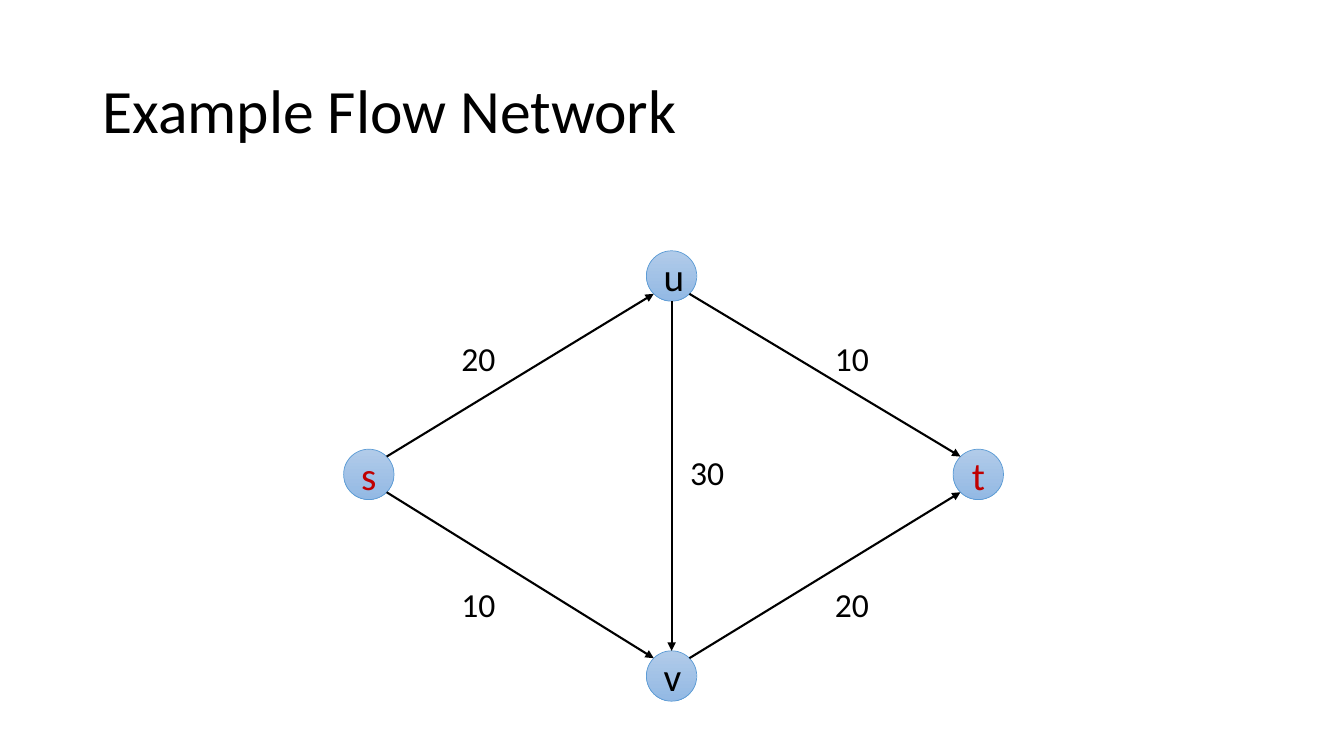
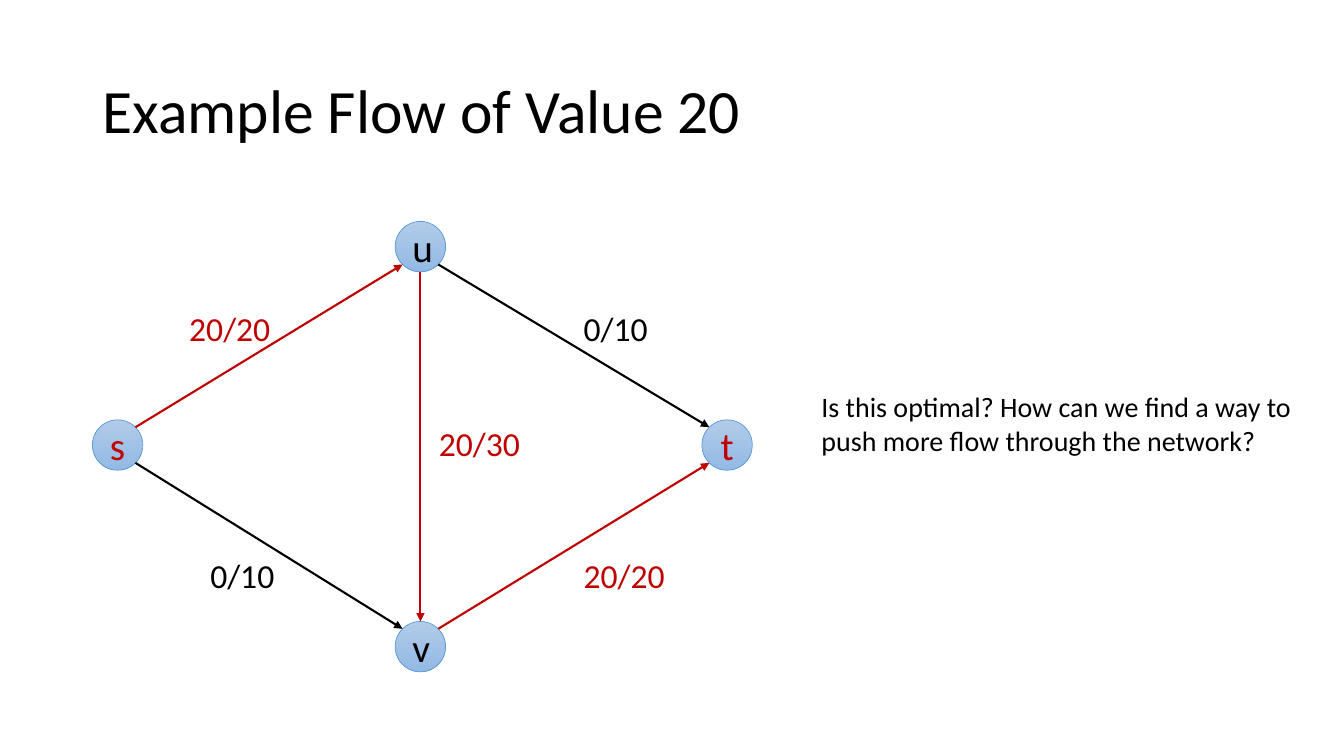
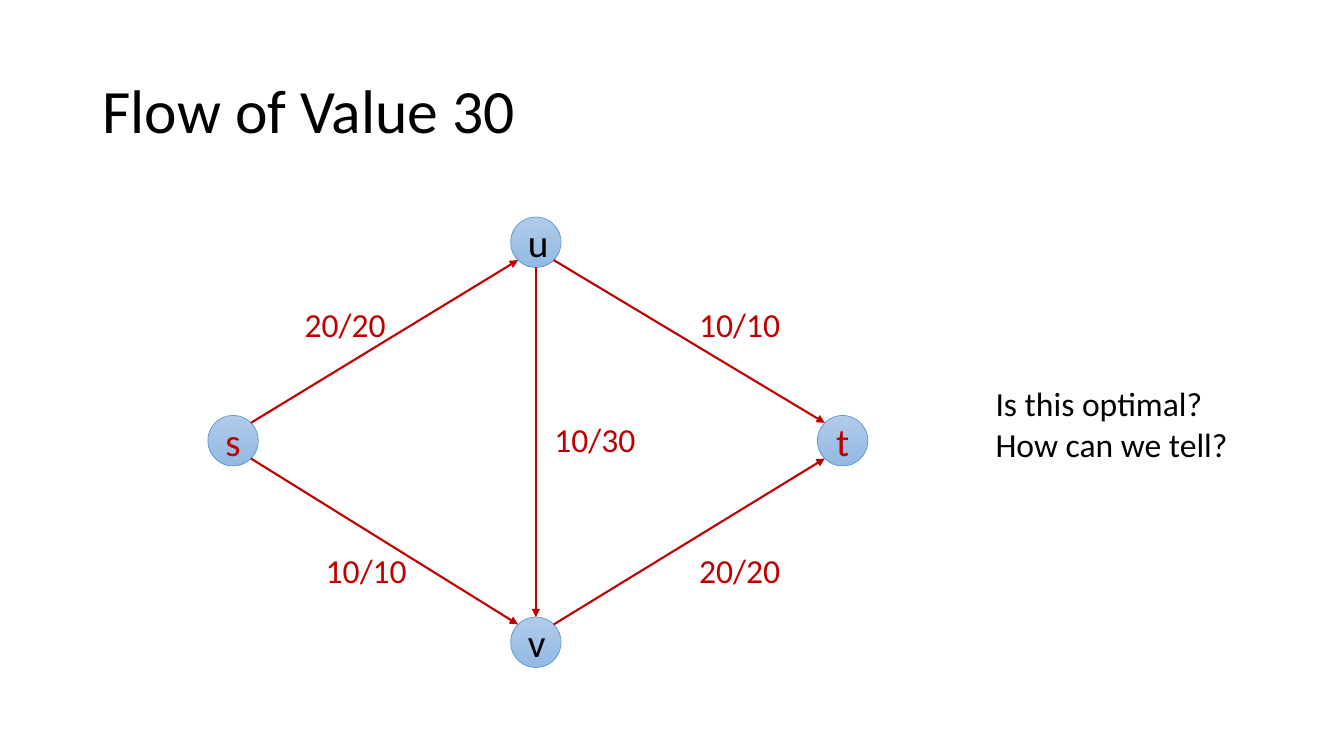
from math import hypot

from lxml import etree
from pptx import Presentation
from pptx.dml.color import RGBColor
from pptx.enum.shapes import MSO_CONNECTOR, MSO_SHAPE
from pptx.enum.text import MSO_ANCHOR, MSO_AUTO_SIZE, PP_ALIGN
from pptx.oxml.ns import qn
from pptx.util import Cm, Pt

STRAIGHT = MSO_CONNECTOR.STRAIGHT
CIRCLE = MSO_SHAPE.FLOWCHART_CONNECTOR
MIDDLE = MSO_ANCHOR.MIDDLE
NO_FIT = MSO_AUTO_SIZE.NONE
GROW = MSO_AUTO_SIZE.SHAPE_TO_FIT_TEXT
LEFT, CENTER = PP_ALIGN.LEFT, PP_ALIGN.CENTER

BLACK = RGBColor(0x00, 0x00, 0x00)
RED = RGBColor(0xC0, 0x00, 0x00)
NODE_TOP = RGBColor(0xB1, 0xCB, 0xE9)
NODE_BOTTOM = RGBColor(0x93, 0xB9, 0xE4)
NODE_LINE = RGBColor(0x5B, 0x9B, 0xD5)

FONT = "Calibri"
TITLE_ONLY = 5
NODE_SIZE = 1.27
NODES = {"t": (15.36, 5.0), "s": (0, 5.0), "v": (7.63, 10.08), "u": (7.63, 0)}
LABELS = {
    "uv": (8.48, 4.95),
    "su": (2.72, 2.06),
    "vt": (12.13, 8.27),
    "sv": (2.72, 8.27),
    "ut": (12.13, 2.06),
}


def sign(number):
    """Return -1, 0 or 1 for the sign of a number."""
    return (number > 0) - (number < 0)


class FlowDeck:
    """Holds the shared style and the slide being drawn."""

    def __init__(self):
        self.deck = Presentation()
        self.deck.slide_width = Cm(33.87)
        self.deck.slide_height = Cm(19.05)
        self.page = None

    def style(self, para, size, color, align=LEFT):
        para.alignment = align
        para.font.name = FONT
        para.font.size = Pt(size)
        para.font.color.rgb = color

    def add_page(self, title):
        self.page = self.deck.slides.add_slide(self.deck.slide_layouts[TITLE_ONLY])
        box = self.page.shapes.title
        box.left, box.top, box.width, box.height = Cm(2.33), Cm(1.01), Cm(29.21), Cm(3.68)
        frame = box.text_frame
        frame.text = title
        frame.auto_size = NO_FIT
        frame.vertical_anchor = MIDDLE
        para = frame.paragraphs[0]
        para.line_spacing = 0.9
        self.style(para, 44, BLACK)

    def text(self, lines, left, top, width, height, size=24, color=BLACK, wrap=False):
        box = self.page.shapes.add_textbox(Cm(left), Cm(top), Cm(width), Cm(height))
        frame = box.text_frame
        frame.text = "\n".join(lines)
        frame.word_wrap = wrap
        frame.auto_size = GROW
        for para in frame.paragraphs:
            self.style(para, size, color)

    def node(self, name, left, top):
        circle = self.page.shapes.add_shape(
            CIRCLE, Cm(left), Cm(top), Cm(NODE_SIZE), Cm(NODE_SIZE))
        circle.shadow.inherit = False
        circle.fill.gradient()
        circle.fill.gradient_angle = 270
        for stop, color in zip(circle.fill.gradient_stops, (NODE_TOP, NODE_BOTTOM)):
            stop.color.rgb = color
        circle.line.color.rgb = NODE_LINE
        circle.line.width = Pt(0.5)
        frame = circle.text_frame
        frame.text = name
        frame.vertical_anchor = MIDDLE
        self.style(frame.paragraphs[0], 28, RED if name in "st" else BLACK, CENTER)

    def arrow(self, start, end, color):
        """Draw an arrow between the rims of two nodes given by their corners."""
        across, down = sign(end[0] - start[0]), sign(end[1] - start[1])
        radius = NODE_SIZE / 2
        reach = radius / hypot(across, down)
        line = self.page.shapes.add_connector(
            STRAIGHT,
            Cm(start[0] + radius + across * reach), Cm(start[1] + radius + down * reach),
            Cm(end[0] + radius - across * reach), Cm(end[1] + radius - down * reach))
        line.line.color.rgb = color
        line.line.width = Pt(1.5)
        properties = line.element.find(qn("p:spPr"))
        etree.SubElement(properties.find(qn("a:ln")), qn("a:tailEnd"), type="triangle")
        etree.SubElement(properties, qn("a:effectLst"))

    def network(self, left, top, labels, first_shift=0):
        """Draw the network; edges that carry flow are red."""
        places = {name: (left + x, top + y) for name, (x, y) in NODES.items()}
        colors = {edge: RED if "/" in label and not label.startswith("0/") else BLACK
                  for edge, label in labels.items()}
        for name, place in places.items():
            self.node(name, *place)
        for edge, color in colors.items():
            self.arrow(places[edge[0]], places[edge[1]], color)
        for edge, label in labels.items():
            x, y = LABELS[edge]
            shift = first_shift if edge == "su" else 0
            slashes = label.count("/")
            width = 0.51 + 0.43 * (len(label) - slashes) + 0.33 * slashes
            self.text([label], left + x + shift, top + y, width, 1.27, color=colors[edge])


def main():
    """Build and save the three slides."""
    flow = FlowDeck()

    flow.add_page("Example Flow Network")
    flow.network(8.66, 6.32, {"su": "20", "ut": "10", "sv": "10", "vt": "20", "uv": "30"})

    flow.add_page("Example Flow of Value 20")
    flow.network(2.33, 5.58, {"su": "20/20", "ut": "0/10", "sv": "0/10",
                              "vt": "20/20", "uv": "20/30"}, first_shift=-0.53)
    flow.text(["Is this optimal? How can we find a way to push more flow through the network?"],
              20.45, 9.7, 12.65, 1.96, size=20, wrap=True)

    flow.add_page("Flow of Value 30")
    flow.network(5.24, 5.47, {"su": "20/20", "ut": "10/10", "sv": "10/10",
                              "vt": "20/20", "uv": "10/30"}, first_shift=-0.53)
    flow.text(["Is this optimal?", "How can we tell?"], 24.84, 9.53, 6.4, 2.31)

    flow.deck.save("out.pptx")


if __name__ == "__main__":
    main()
